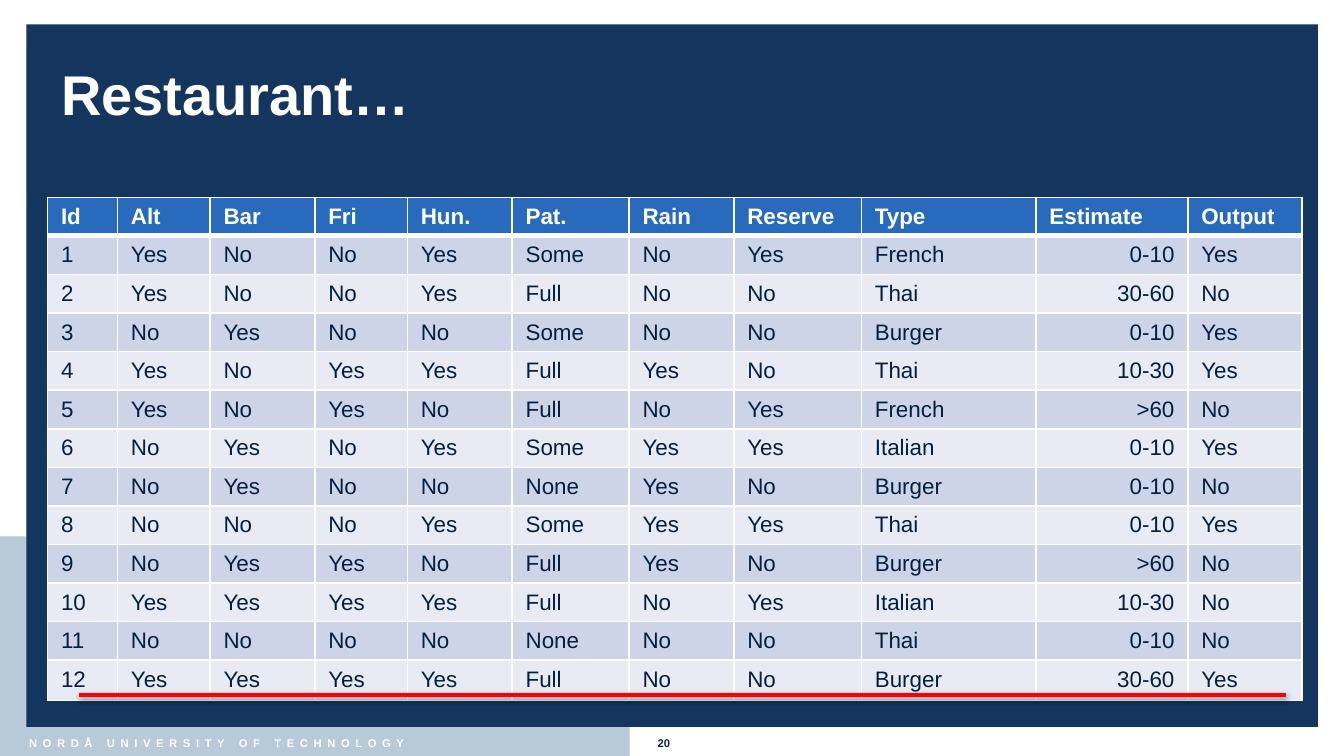
from lxml.etree import SubElement
from pptx import Presentation
from pptx.dml.color import RGBColor
from pptx.enum.shapes import MSO_CONNECTOR, MSO_SHAPE
from pptx.enum.text import MSO_ANCHOR, MSO_AUTO_SIZE, PP_ALIGN
from pptx.oxml.ns import qn
from pptx.util import Cm, Pt

WHITE = RGBColor(0xFF, 0xFF, 0xFF)
NAVY = RGBColor(0x14, 0x35, 0x5E)
INK = RGBColor(0x03, 0x20, 0x40)
MIST = RGBColor(0xB8, 0xC9, 0xD7)
HEADER_BLUE = RGBColor(0x28, 0x6B, 0xBD)
BAND_DARK = RGBColor(0xCD, 0xD4, 0xE8)
BAND_LIGHT = RGBColor(0xE8, 0xEB, 0xF4)
RED = RGBColor(0xFF, 0x00, 0x00)

COLUMN_WIDTHS = [1.32, 1.75, 1.98, 1.75, 1.98, 2.21, 1.98, 2.41, 3.3, 2.87, 2.16]
HEADER = "Id Alt Bar Fri Hun. Pat. Rain Reserve Type Estimate Output".split()
EXAMPLES = """
Yes No No Yes Some No Yes French 0-10 Yes
Yes No No Yes Full No No Thai 30-60 No
No Yes No No Some No No Burger 0-10 Yes
Yes No Yes Yes Full Yes No Thai 10-30 Yes
Yes No Yes No Full No Yes French >60 No
No Yes No Yes Some Yes Yes Italian 0-10 Yes
No Yes No No None Yes No Burger 0-10 No
No No No Yes Some Yes Yes Thai 0-10 Yes
No Yes Yes No Full Yes No Burger >60 No
Yes Yes Yes Yes Full No Yes Italian 10-30 No
No No No No None No No Thai 0-10 No
Yes Yes Yes Yes Full No No Burger 30-60 Yes
""".strip().splitlines()


class SlideBuilder:
    font = "Arial"

    def __init__(self, page):
        self.page = page

    def add_text(self, frame, text, size, color, bold=False, align=PP_ALIGN.LEFT):
        para = frame.paragraphs[0]
        para.alignment = align
        span = para.add_run()
        span.text = text
        style = {"name": self.font, "size": Pt(size), "bold": bold}
        for name, value in style.items():
            setattr(span.font, name, value)
        span.font.color.rgb = color
        return span

    def panel(self, left, top, width, height, color):
        box = self.page.shapes.add_shape(
            MSO_SHAPE.RECTANGLE, Cm(left), Cm(top), Cm(width), Cm(height))
        box.shadow.inherit = False
        box.fill.solid()
        box.fill.fore_color.rgb = color
        box.line.fill.background()

    def title(self, text, left, top, width, height):
        """Format the title placeholder and bring it in front of the panels."""
        box = self.page.shapes.title
        place = {"left": left, "top": top, "width": width, "height": height}
        for name, value in place.items():
            setattr(box, name, Cm(value))
        box.text_frame.auto_size = MSO_AUTO_SIZE.NONE
        box.text_frame.vertical_anchor = MSO_ANCHOR.MIDDLE
        self.add_text(box.text_frame, text, 30, WHITE, bold=True)
        self.page.shapes.element.append(box.element)

    def footer(self, text, left, top, width, height, color, spacing=0):
        """Add small bold text; spacing is the gap between letters in points."""
        box = self.page.shapes.add_textbox(Cm(left), Cm(top), Cm(width), Cm(height))
        box.text_frame.word_wrap = True
        span = self.add_text(box.text_frame, text, 6, color, bold=True)
        span.font._element.set("spc", str(spacing * 100))

    def borders(self, cell, widths):
        properties = cell._tc.get_or_add_tcPr()
        for side, width in widths.items():
            line = SubElement(properties, qn(f"a:ln{side}"), w=str(Pt(width)))
            fill = SubElement(line, qn("a:solidFill"))
            SubElement(fill, qn("a:srgbClr"), val=str(WHITE))

    def table(self, rows, left, top, widths, row_height, last_height):
        height = row_height * (len(rows) - 1) + last_height
        table = self.page.shapes.add_table(
            len(rows), len(widths), Cm(left), Cm(top),
            Cm(sum(widths)), Cm(height)).table
        for column, width in zip(table.columns, widths):
            column.width = Cm(width)
        for row in table.rows:
            row.height = Cm(row_height)
        table.rows[len(rows) - 1].height = Cm(last_height)
        estimate = rows[0].index("Estimate")
        for r, values in enumerate(rows):
            is_header = r == 0
            band = BAND_DARK if r % 2 else BAND_LIGHT
            for c, value in enumerate(values):
                cell = table.cell(r, c)
                self.borders(cell, {"L": 1, "R": 1, "T": 3 if r == 1 else 1,
                                    "B": 3 if is_header else 1})
                cell.fill.solid()
                cell.fill.fore_color.rgb = HEADER_BLUE if is_header else band
                right = c == estimate and not is_header
                self.add_text(cell.text_frame, value, 12,
                              WHITE if is_header else INK, bold=is_header,
                              align=PP_ALIGN.RIGHT if right else PP_ALIGN.LEFT)

    def underline(self, left, right, y, color):
        """Draw a level line with a soft shadow below it."""
        line = self.page.shapes.add_connector(
            MSO_CONNECTOR.STRAIGHT, Cm(left), Cm(y), Cm(right), Cm(y))
        line.line.color.rgb = color
        line.line.width = Pt(2)
        effects = SubElement(line._element.spPr, qn("a:effectLst"))
        shadow = SubElement(effects, qn("a:outerShdw"), blurRad=str(Pt(3.1)),
                            dist=str(Pt(1.6)), dir="5400000", rotWithShape="0")
        black = SubElement(shadow, qn("a:srgbClr"), val="000000")
        SubElement(black, qn("a:alpha"), val="38000")


def main():
    deck = Presentation()
    deck.slide_width, deck.slide_height = Cm(25.4), Cm(14.29)
    slide = SlideBuilder(deck.slides.add_slide(deck.slide_layouts[5]))

    slide.panel(0, 0, 25.4, 14.29, WHITE)
    slide.panel(0, 10.14, 11.9, 4.15, MIST)
    slide.panel(0.5, 0.46, 24.41, 13.28, NAVY)
    slide.footer("NORDÅ UNIVERSITY OF TECHNOLOGY", 0.3, 13.79, 11, 0.5, WHITE, spacing=3)
    slide.footer("20", 12.18, 13.79, 1.2, 0.5, INK)
    slide.title("Restaurant…", 0.9, 0.5, 23.6, 2.52)

    rows = [HEADER] + [[str(number), *example.split()]
                       for number, example in enumerate(EXAMPLES, 1)]
    slide.table(rows, 0.9, 3.73, COLUMN_WIDTHS, 0.61, 0.76)
    slide.underline(1.5, 24.31, 13.13, RED)
    deck.save("out.pptx")


if __name__ == "__main__":
    main()
